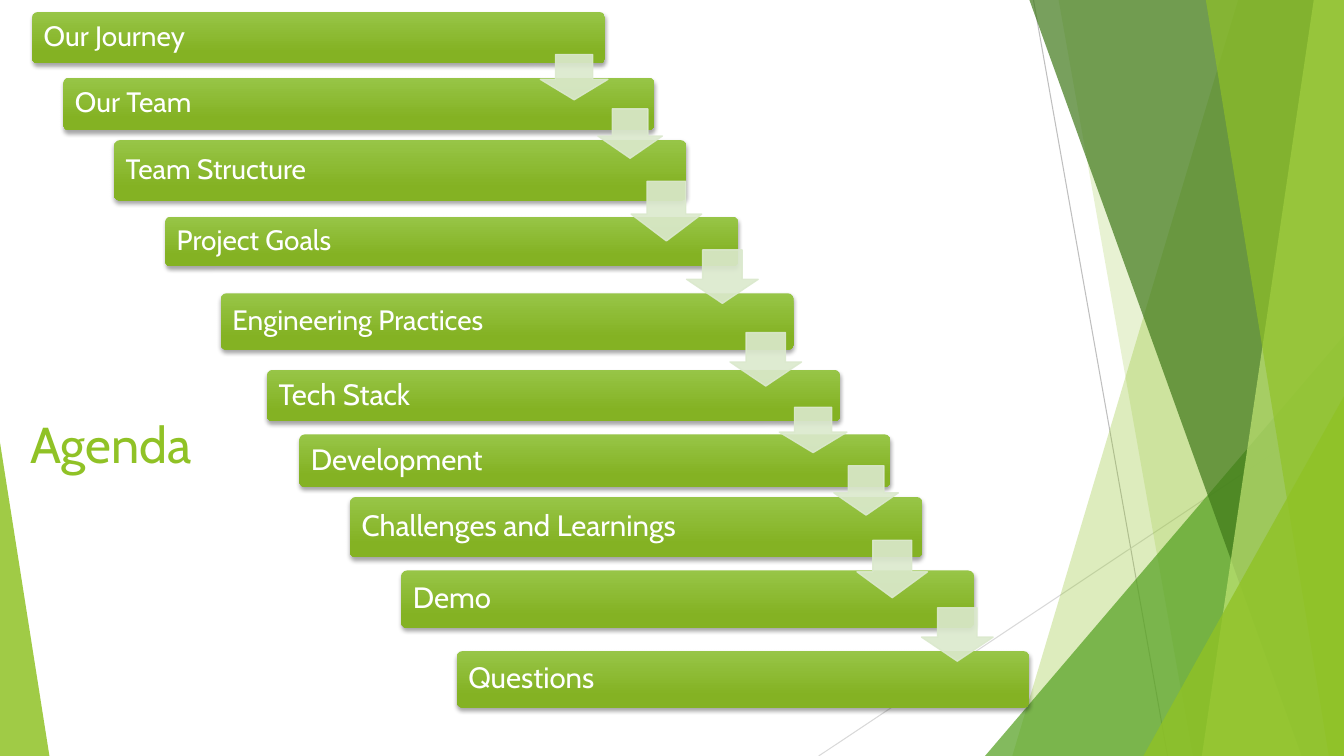
import pptx
import pptx.util
import pptx.dml.color
import pptx.enum.shapes
import pptx.enum.text
import pptx.oxml.ns
from lxml import etree
from pptx.dml.color import RGBColor
from pptx.enum.shapes import MSO_SHAPE
from pptx.util import Inches

WHITE = RGBColor(0xFF, 0xFF, 0xFF)
BLACK = RGBColor(0x00, 0x00, 0x00)
GREEN = RGBColor(0x90, 0xC2, 0x26)
MID_GREEN = RGBColor(0x54, 0xA0, 0x21)
DARK_GREEN = RGBColor(0x3F, 0x78, 0x19)
LIME = RGBColor(0xC0, 0xE4, 0x74)
BAR_TOP = RGBColor(0x97, 0xC5, 0x47)
BAR_BOTTOM = RGBColor(0x84, 0xB2, 0x23)
ARROW_GREEN = RGBColor(0xDB, 0xE9, 0xCD)
GRAY = RGBColor(0xBF, 0xBF, 0xBF)
LIGHT_GRAY = RGBColor(0xD9, 0xD9, 0xD9)
FONT = "Cabin"

# Topic, left, top, width, height, font size
TOPICS = [
    ("Our Journey", 0.32, 0.12, 5.68, 0.51, 20),
    ("Our Team", 0.63, 0.77, 5.86, 0.52, 20),
    ("Team Structure", 1.13, 1.39, 5.68, 0.6, 20),
    ("Project Goals", 1.64, 2.15, 5.68, 0.49, 20),
    ("Engineering Practices", 2.19, 2.91, 5.68, 0.56, 20),
    ("Tech Stack", 2.65, 3.67, 5.68, 0.51, 21),
    ("Development", 2.97, 4.31, 5.86, 0.52, 21),
    ("Challenges and Learnings", 3.47, 4.93, 5.68, 0.6, 21),
    ("Demo", 3.98, 5.66, 5.68, 0.57, 21),
    ("Questions", 4.53, 6.46, 5.68, 0.56, 21),
]
# Left, top, width, height of the arrow out of each topic
ARROWS = [
    (5.36, 0.54, 0.67, 0.45),
    (5.93, 1.08, 0.64, 0.49),
    (6.26, 1.8, 0.7, 0.59),
    (6.81, 2.48, 0.71, 0.53),
    (7.24, 3.3, 0.71, 0.53),
    (7.73, 4.04, 0.67, 0.45),
    (8.27, 4.62, 0.64, 0.49),
    (8.5, 5.36, 0.7, 0.57),
    (9.14, 6.03, 0.71, 0.53),
]


def add_xml(parent, tag, **attributes):
    return etree.SubElement(parent, pptx.oxml.ns.qn(tag), attributes)


def set_opacity(shape, percent):
    for color in shape.element.spPr.iter(pptx.oxml.ns.qn("a:srgbClr")):
        add_xml(color, "a:alpha", val=str(percent * 1000))


def paint(shape, color, opacity):
    shape.shadow.inherit = False
    shape.fill.solid()
    shape.fill.fore_color.rgb = color
    shape.line.fill.background()
    set_opacity(shape, opacity)


def add_hairline(slide, start, end, color):
    hairline = slide.shapes.add_connector(
        pptx.enum.shapes.MSO_CONNECTOR.STRAIGHT, *map(Inches, start + end))
    hairline.line.color.rgb = color
    hairline.line.width = pptx.util.Pt(0.75)
    add_xml(hairline.element.spPr, "a:effectLst")


def add_facet(slide, top_left, bottom_left, color, opacity):
    """Fill the full height between a slanted left edge and the slide's right edge."""
    corners = [(top_left, 0), (13.33, 0), (13.33, 7.5), (bottom_left, 7.5)]
    points = [(Inches(x), Inches(y)) for x, y in corners]
    builder = slide.shapes.build_freeform(*points[0], scale=1.0)
    builder.add_line_segments(points[1:], close=True)
    paint(builder.convert_to_shape(), color, opacity)


def add_triangle(slide, box, apex, color, opacity):
    triangle = slide.shapes.add_shape(MSO_SHAPE.ISOSCELES_TRIANGLE, *map(Inches, box))
    triangle.adjustments[0] = apex
    paint(triangle, color, opacity)


def write_text(shape, text, size, color):
    frame = shape.text_frame
    frame.word_wrap = True
    frame.vertical_anchor = pptx.enum.text.MSO_ANCHOR.MIDDLE
    paragraph = frame.paragraphs[0]
    paragraph.alignment = pptx.enum.text.PP_ALIGN.LEFT
    run = paragraph.add_run()
    run.text = text
    run.font.size = pptx.util.Pt(size)
    run.font.name = FONT
    run.font.color.rgb = color


def add_bar_shadow(bar):
    bar.shadow.inherit = False
    effects = bar.element.spPr.find(pptx.oxml.ns.qn("a:effectLst"))
    shadow = add_xml(effects, "a:outerShdw", blurRad=str(pptx.util.Pt(3)),
                     dist=str(pptx.util.Pt(2)), dir="5400000", rotWithShape="0")
    color = add_xml(shadow, "a:srgbClr", val=str(BLACK))
    add_xml(color, "a:alpha", val="35000")


def add_topic(slide, topic, left, top, width, height, size):
    bar = slide.shapes.add_shape(
        MSO_SHAPE.ROUNDED_RECTANGLE, *map(Inches, (left, top, width, height)))
    bar.adjustments[0] = 0.1
    bar.fill.gradient()
    bar.fill.gradient_angle = 270
    stops = bar.fill.gradient_stops
    for stop, position, color in zip(stops, (0, 0.78), (BAR_TOP, BAR_BOTTOM)):
        stop.position = position
        stop.color.rgb = color
    bar.line.fill.background()
    add_bar_shadow(bar)
    write_text(bar, topic, size, WHITE)
    bar.text_frame.margin_top = bar.text_frame.margin_bottom = 0
    bar.text_frame.paragraphs[0].line_spacing = 0.9


def add_arrow(slide, box):
    arrow = slide.shapes.add_shape(MSO_SHAPE.DOWN_ARROW, *map(Inches, box))
    arrow.adjustments[0] = 0.55
    arrow.adjustments[1] = 0.45
    arrow.shadow.inherit = False
    arrow.fill.solid()
    arrow.fill.fore_color.rgb = ARROW_GREEN
    arrow.line.color.rgb = ARROW_GREEN
    arrow.line.width = pptx.util.Pt(1)
    set_opacity(arrow, 90)


def add_backdrop(slide):
    add_hairline(slide, (10.25, 0), (11.58, 7.5), GRAY)
    add_hairline(slide, (13.33, 4.03), (8.12, 7.5), LIGHT_GRAY)
    add_facet(slide, 12.28, 10.04, GREEN, 30)
    add_facet(slide, 10.5, 11.83, GREEN, 20)
    add_triangle(slide, (9.77, 3.33, 3.56, 4.17), 1, MID_GREEN, 72)
    add_facet(slide, 10.21, 12.91, DARK_GREEN, 70)
    add_facet(slide, 13.03, 11.92, LIME, 70)
    add_facet(slide, 11.96, 13.18, GREEN, 65)
    add_triangle(slide, (11.34, 3.93, 1.99, 3.57), 1, GREEN, 80)
    add_triangle(slide, (0, 4.39, 0.49, 3.11), 0, GREEN, 85)


def main():
    presentation = pptx.Presentation()
    presentation.slide_width = Inches(13.33)
    presentation.slide_height = Inches(7.5)
    slide = presentation.slides.add_slide(presentation.slide_layouts[6])
    add_backdrop(slide)
    heading = slide.shapes.add_textbox(*map(Inches, (0.2, 4.04, 3.61, 0.72)))
    write_text(heading, "Agenda", 36, GREEN)
    for topic in TOPICS:
        add_topic(slide, *topic)
    for box in ARROWS:
        add_arrow(slide, box)
    presentation.save("out.pptx")


if __name__ == "__main__":
    main()
